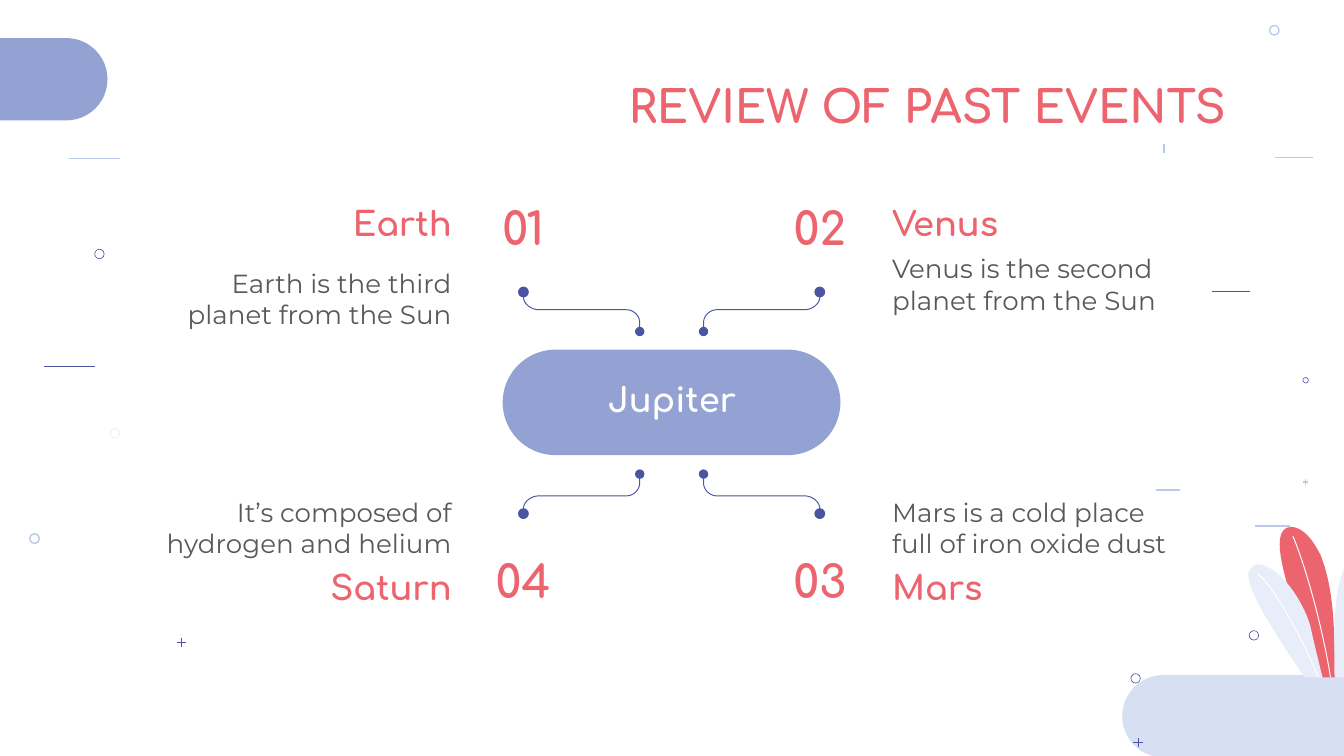
from lxml import etree
from pptx import Presentation
from pptx.dml.color import RGBColor
from pptx.enum.shapes import MSO_CONNECTOR, MSO_SHAPE
from pptx.enum.text import MSO_ANCHOR, MSO_AUTO_SIZE, PP_ALIGN
from pptx.oxml.ns import qn
from pptx.util import Inches, Pt

LEFT, CENTER, RIGHT = PP_ALIGN.LEFT, PP_ALIGN.CENTER, PP_ALIGN.RIGHT
TOP, MIDDLE = MSO_ANCHOR.TOP, MSO_ANCHOR.MIDDLE
OVAL, PILL = MSO_SHAPE.OVAL, MSO_SHAPE.ROUNDED_RECTANGLE
STRAIGHT = MSO_CONNECTOR.STRAIGHT
NO_RESIZE = MSO_AUTO_SIZE.NONE

CORAL, INDIGO, PERIWINKLE = "EC646E", "4B54A1", "94A2D3"
SKY, MIST, PALE, FAINT = "B9CAE9", "D7DFF2", "E8EEF9", "E8ECF8"
GRAY, WHITE = "595959", "FFFFFF"
HEADING, BODY = "Comfortaa", "Montserrat"
HAIR, FINE = 0.33, 0.75
CURVE_STEPS = 12


def color(code):
    """Turn a hex string into a colour."""
    return RGBColor.from_string(code)


def grid(*cells):
    """Turn grid steps, a hundred of them across the slide, into lengths."""
    return [Inches(cell / 10) for cell in cells]


def trace(start, segments):
    """Turn points and six-number Bezier segments into a list of points."""
    points = [start]
    for segment in segments:
        if len(segment) == 2:
            points.append(segment)
            continue
        x0, y0 = points[-1]
        x1, y1, x2, y2, x3, y3 = segment
        for step in range(1, CURVE_STEPS + 1):
            t = step / CURVE_STEPS
            a, b, c, d = (1 - t) ** 3, 3 * t * (1 - t) ** 2, 3 * t * t * (1 - t), t ** 3
            points.append((a * x0 + b * x1 + c * x2 + d * x3,
                           a * y0 + b * y1 + c * y2 + d * y3))
    return points


class Page:
    """Hold the style and the current slide."""

    def __init__(self, deck):
        """Add a title-only slide."""
        self.slide = deck.slides.add_slide(deck.slide_layouts[5])
        self.shapes = self.slide.shapes

    def paint(self, shape, fill=None, line=None, weight=FINE):
        """Set the fill and outline of a shape."""
        shape.shadow.inherit = False
        if fill:
            shape.fill.solid()
            shape.fill.fore_color.rgb = color(fill)
        else:
            shape.fill.background()
        if line:
            shape.line.color.rgb = color(line)
            shape.line.width = Pt(weight)
        else:
            shape.line.fill.background()

    def pill(self, left, top, width, height, fill):
        """Draw a bar with fully round ends."""
        bar = self.shapes.add_shape(PILL, *grid(left, top, width, height))
        bar.adjustments[0] = 0.5
        self.paint(bar, fill)

    def circle(self, x, y, size, **paint):
        """Draw a circle around a centre."""
        dot = self.shapes.add_shape(OVAL, *grid(x - size / 2, y - size / 2, size, size))
        self.paint(dot, **paint)

    def dash(self, x, y, width, height, line, weight):
        """Draw a straight stroke."""
        stroke = self.shapes.add_connector(STRAIGHT, *grid(x, y, x + width, y + height))
        stroke.line.color.rgb = color(line)
        stroke.line.width = Pt(weight)
        etree.SubElement(stroke._element.spPr, qn("a:effectLst"))

    def cross(self, x, y, size, line, weight):
        """Draw a plus sign around a centre."""
        self.dash(x, y - size / 2, 0, size, line, weight)
        self.dash(x - size / 2, y, size, 0, line, weight)

    def outline(self, points, closed, **paint):
        """Draw a freeform through points."""
        points = [grid(*point) for point in points]
        builder = self.shapes.build_freeform(*points[0])
        builder.add_line_segments(points[1:], close=closed)
        self.paint(builder.convert_to_shape(), **paint)

    def text(self, words, place, size, ink, font, align, anchor=TOP, box=None):
        """Place a line of text in a new box or a given placeholder."""
        left, top, width, height = grid(*place)
        box = box or self.shapes.add_textbox(left, top, width, height)
        box.left, box.top, box.width, box.height = left, top, width, height
        frame = box.text_frame
        frame.text = words
        frame.word_wrap = True
        frame.auto_size = NO_RESIZE
        frame.vertical_anchor = anchor
        frame.margin_left = frame.margin_right = Inches(0.1)
        frame.margin_top = frame.margin_bottom = Inches(0.1)
        para = frame.paragraphs[0]
        para.alignment = align
        span = para.runs[0]
        span.font.size, span.font.name = Pt(size), font
        span.font.bold = font == HEADING
        span.font.color.rgb = color(ink)

    def branch(self, flip_x, flip_y):
        """Draw one elbow with its two dots, mirrored about the centre pill."""
        def mirror(x, y):
            return (99.95 - x if flip_x else x, 59.95 - y if flip_y else y)

        elbow = trace((38.95, 21.7), [(38.95, 22.1), (38.95, 22.6, 39.5, 23.05, 40.1, 23.05),
                                      (46.6, 23.05), (47.15, 23.05, 47.6, 23.5, 47.6, 24),
                                      (47.6, 24.7)])
        self.outline([mirror(*point) for point in elbow], False, line=INDIGO, weight=0.5)
        self.circle(*mirror(38.95, 21.73), 0.7, fill=INDIGO, line=INDIGO)
        self.circle(*mirror(47.6, 24.67), 0.7, fill=INDIGO)


def decorate(page):
    """Scatter the small marks and draw the corner bars."""
    for x, y, width, height, line, weight in [
            (86.6, 10.7, 0, 0.7, SKY, FINE), (5.1, 11.8, 3.8, 0, SKY, FINE),
            (90.2, 21.7, 2.8, 0, INDIGO, HAIR), (3.25, 27.25, 3.8, 0, INDIGO, HAIR),
            (86, 36.47, 1.8, 0, SKY, FINE), (93.4, 39.13, 2.6, 0, SKY, FINE),
            (94.9, 11.73, 2.8, 0, SKY, FINE)]:
        page.dash(x, y, width, height, line, weight)
    for x, y, size, line, weight in [
            (97.15, 28.3, 0.4, INDIGO, HAIR), (7.4, 18.9, 0.7, INDIGO, HAIR),
            (8.55, 32.25, 0.7, FAINT, HAIR), (84.5, 50.48, 0.7, INDIGO, HAIR),
            (93.3, 47.28, 0.7, INDIGO, HAIR), (2.57, 40.08, 0.7, SKY, FINE),
            (94.82, 2.25, 0.7, SKY, FINE)]:
        page.circle(x, y, size, line=line, weight=weight)
    page.cross(97.15, 35.87, 0.4, SKY, FINE)
    page.cross(13.5, 47.8, 0.7, INDIGO, HAIR)
    page.pill(-12.7, 2.83, 20.7, 6.13, PERIWINKLE)
    page.pill(83.5, 50.23, 20.7, 6.13, MIST)
    page.cross(84.68, 55.25, 0.7, INDIGO, HAIR)


def draw_leaves(page):
    """Draw the three leaves with their veins."""
    red = trace((96.1, 39.2), [
        (97.2, 39.3, 97.9, 40.6, 98.3, 41.4), (99.4, 44.3, 99.2, 47.3, 99.4, 50.4),
        (98.4, 50.4), (97.8, 49.1, 97.1, 47.2, 96.5, 45.9),
        (96.3, 45.2, 96, 44.4, 95.8, 43.6), (95.5, 42.4, 94.5, 39.2, 96.1, 39.2)])
    right = trace((102.4, 39.2), [
        (102.6, 39.2, 102.8, 39.2, 103, 39.4), (104.1, 40, 103.3, 42.1, 103.1, 43),
        (102.7, 44.2, 102.2, 45.3, 101.7, 46.4), (101.2, 47.7, 100.7, 49.1, 100.2, 50.4),
        (99.3, 50.4), (99.3, 48.3, 99.2, 46.2, 99.5, 44.2),
        (99.7, 42.8, 100.9, 39.2, 102.4, 39.2)])
    left = trace((93.7, 42), [
        (93.9, 42, 94.1, 42.1, 94.3, 42.2), (95.7, 42.8, 97.1, 45.1, 97.5, 46.6),
        (97.8, 48, 98.4, 50.4, 98.4, 50.4), (97.1, 50.4),
        (96.2, 49.2, 95, 47.3, 94.3, 46.1), (93.9, 45.5, 92.7, 43.3, 92.9, 42.6),
        (93, 42.4, 93.1, 42.2, 93.3, 42.1), (93.4, 42, 93.6, 42, 93.7, 42)])
    red_vein = trace((96.2, 39.9), [(97.1, 42, 98.4, 46.6, 99, 50.4)])
    left_vein = trace((93.6, 42.7), [(95.2, 44.1, 97.4, 48.7, 98.1, 50.4)])
    page.outline(red, True, fill=CORAL)
    page.outline(right, True, fill=PALE)
    page.outline(red_vein, False, line=WHITE, weight=0.52)
    page.outline(left, True, fill=PALE)
    page.outline(left_vein, False, line=WHITE, weight=0.52)


def main():
    """Build and save the slide."""
    deck = Presentation()
    deck.slide_width, deck.slide_height = Inches(10), Inches(10 * 9 / 16)
    page = Page(deck)
    decorate(page)
    draw_leaves(page)
    page.text("REVIEW OF PAST EVENTS", (8, 4.87, 84.2, 6.3), 24, CORAL, HEADING, RIGHT,
              box=page.shapes.title)
    page.pill(37.4, 26.02, 25.13, 7.85, PERIWINKLE)
    page.text("Jupiter", (38.3, 27.2, 23.4, 5.7), 18, WHITE, HEADING, CENTER)
    for number, planet, fact, is_right, is_low, fact_top, anchor in [
            ("01", "Earth", "Earth is the third planet from the Sun", False, False, 17.93, MIDDLE),
            ("02", "Venus", "Venus is the second planet from the Sun", True, False, 17.8, TOP),
            ("03", "Mars", "Mars is a cold place full of iron oxide dust", True, True, 35.93, TOP),
            ("04", "Saturn", "It’s composed of hydrogen and helium", False, True, 35.93, TOP)]:
        page.branch(is_right, is_low)
        left, number_left, align = (65.4, 57.5, LEFT) if is_right else (11.2, 35.43, RIGHT)
        name_top, number_top = (41.2, 40.33) if is_low else (14.1, 14.1)
        page.text(number, (number_left, number_top, 7, 5.7), 24, CORAL, HEADING, CENTER, MIDDLE)
        page.text(planet, (left, name_top, 23.4, 5.7), 18, CORAL, HEADING, align)
        page.text(fact, (left, fact_top, 23.4, 8.6), 14, GRAY, BODY, align, anchor)
    deck.save("out.pptx")


if __name__ == "__main__":
    main()
